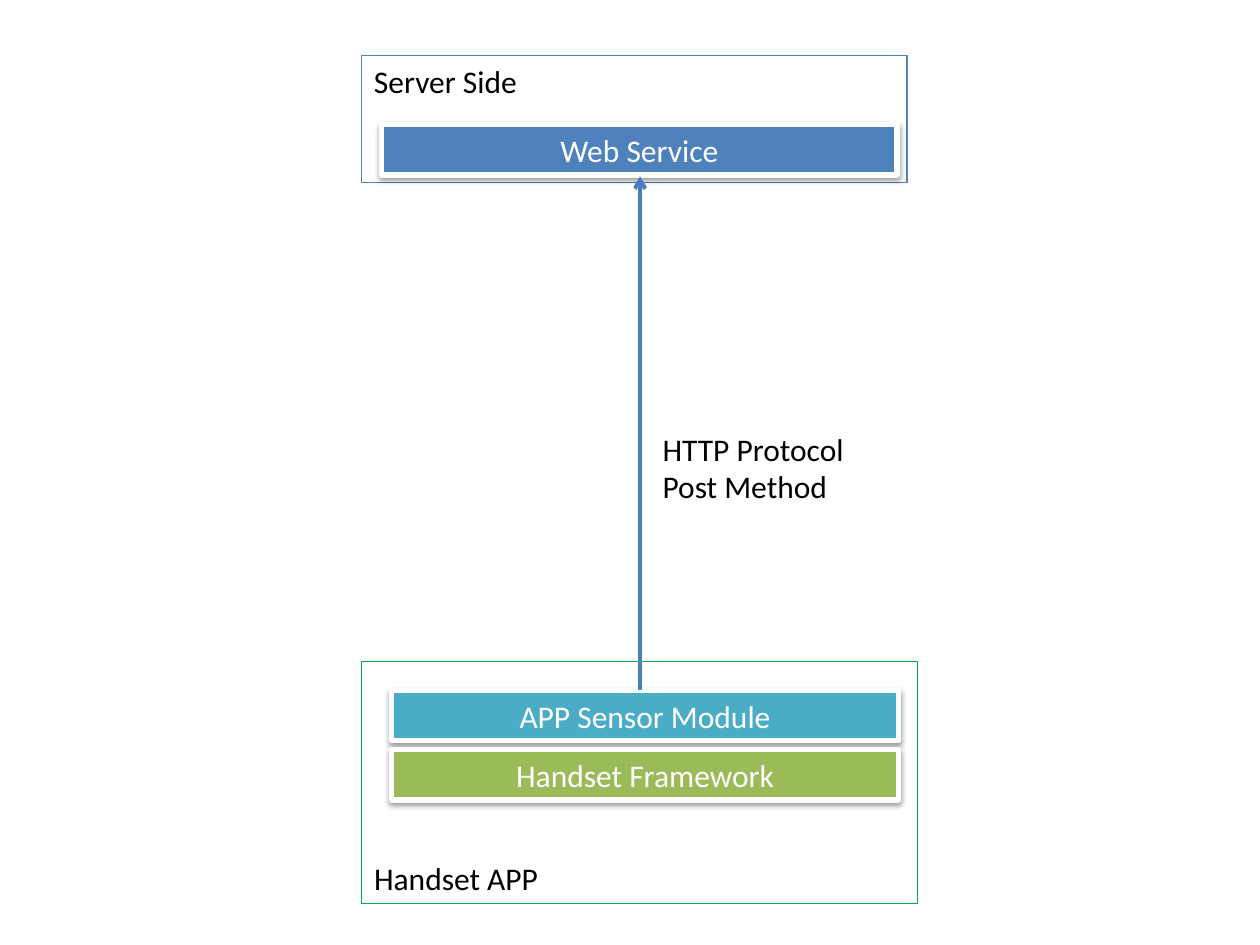
from lxml.etree import SubElement
from pptx import Presentation
from pptx.dml.color import RGBColor
from pptx.enum.shapes import MSO_CONNECTOR, MSO_SHAPE
from pptx.enum.text import MSO_ANCHOR, PP_ALIGN
from pptx.oxml.ns import qn
from pptx.util import Inches, Pt

COLORS = {
    "service": "4F81BD",
    "sensor": "4BACC6",
    "framework": "9BBB59",
    "app": "00B050",
    "arrow": "4B7EBC",
    "white": "FFFFFF",
    "black": "000000",
}
LAYER_HEIGHT = 0.4


def rgb(name):
    """Return the named colour."""
    return RGBColor.from_string(COLORS[name])


def write(frame, lines, color, align=PP_ALIGN.LEFT):
    """Fill a text frame with one paragraph per line."""
    frame.word_wrap = True
    frame.text = "\n".join(lines)
    for paragraph in frame.paragraphs:
        paragraph.alignment = align
        paragraph.font.name = "Calibri"
        paragraph.font.size = Pt(18)
        paragraph.font.color.rgb = rgb(color)


def add_box(slide, box, label, line, width, color, align, anchor):
    """Add an unfilled, outlined rectangle with a label."""
    shape = slide.shapes.add_shape(MSO_SHAPE.RECTANGLE, *map(Inches, box))
    shape.shadow.inherit = False
    shape.fill.background()
    shape.line.color.rgb = rgb(line)
    shape.line.width = Pt(width)
    shape.text_frame.vertical_anchor = anchor
    write(shape.text_frame, [label], color, align)
    return shape


def add_layer(slide, box, label, fill):
    """Add a filled layer with a white border and a soft shadow."""
    layer = add_box(slide, box, label, "white", 3, "white", PP_ALIGN.CENTER, MSO_ANCHOR.MIDDLE)
    layer.fill.solid()
    layer.fill.fore_color.rgb = rgb(fill)
    effects = layer._element.spPr.find(qn("a:effectLst"))
    shadow = SubElement(effects, qn("a:outerShdw"), blurRad="40000", dist="20000",
                        dir="5400000", rotWithShape="0")
    tint = SubElement(shadow, qn("a:srgbClr"), val=COLORS["black"])
    SubElement(tint, qn("a:alpha"), val="38000")


def add_server_side(slide, box):
    """Add the server frame with its web service."""
    left, top, width, height = box
    add_box(slide, box, "Server Side", "service", 0.75, "black", PP_ALIGN.LEFT, MSO_ANCHOR.TOP)
    add_layer(slide, (left + 0.16, top + 0.55, width - 0.24, LAYER_HEIGHT), "Web Service", "service")


def add_app_side(slide, box):
    """Add the app frame with its stacked layers."""
    left, top, width, height = box
    layers = [("APP Sensor Module", "sensor"), ("Handset Framework", "framework")]
    for row, (label, fill) in enumerate(layers):
        layer_top = top + 0.23 + row * 0.47
        add_layer(slide, (left + 0.24, layer_top, width - 0.39, LAYER_HEIGHT), label, fill)
    add_box(slide, box, "Handset APP", "app", 0.75, "black", PP_ALIGN.LEFT, MSO_ANCHOR.BOTTOM)


def add_request(slide, x, start, end):
    """Add the upward request arrow and its protocol label."""
    arrow = slide.shapes.add_connector(
        MSO_CONNECTOR.STRAIGHT, Inches(x), Inches(start), Inches(x), Inches(end))
    arrow.line.color.rgb = rgb("arrow")
    arrow.line.width = Pt(2.25)
    SubElement(arrow.line._get_or_add_ln(), qn("a:tailEnd"), type="arrow")
    SubElement(arrow._element.spPr, qn("a:effectLst"))
    protocol = slide.shapes.add_textbox(
        Inches(x + 0.08), Inches(end + 1.96), Inches(1.89), Inches(0.71))
    write(protocol.text_frame, ["HTTP Protocol", "Post Method"], "black")


def main():
    """Build the architecture slide."""
    deck = Presentation()
    deck.slide_width, deck.slide_height = Inches(10), Inches(7.5)
    slide = deck.slides.add_slide(deck.slide_layouts[6])
    add_app_side(slide, (2.87, 5.25, 4.41, 1.92))
    add_server_side(slide, (2.87, 0.44, 4.33, 1.01))
    add_request(slide, 5.08, 5.48, 1.4)
    deck.save("out.pptx")


main()
